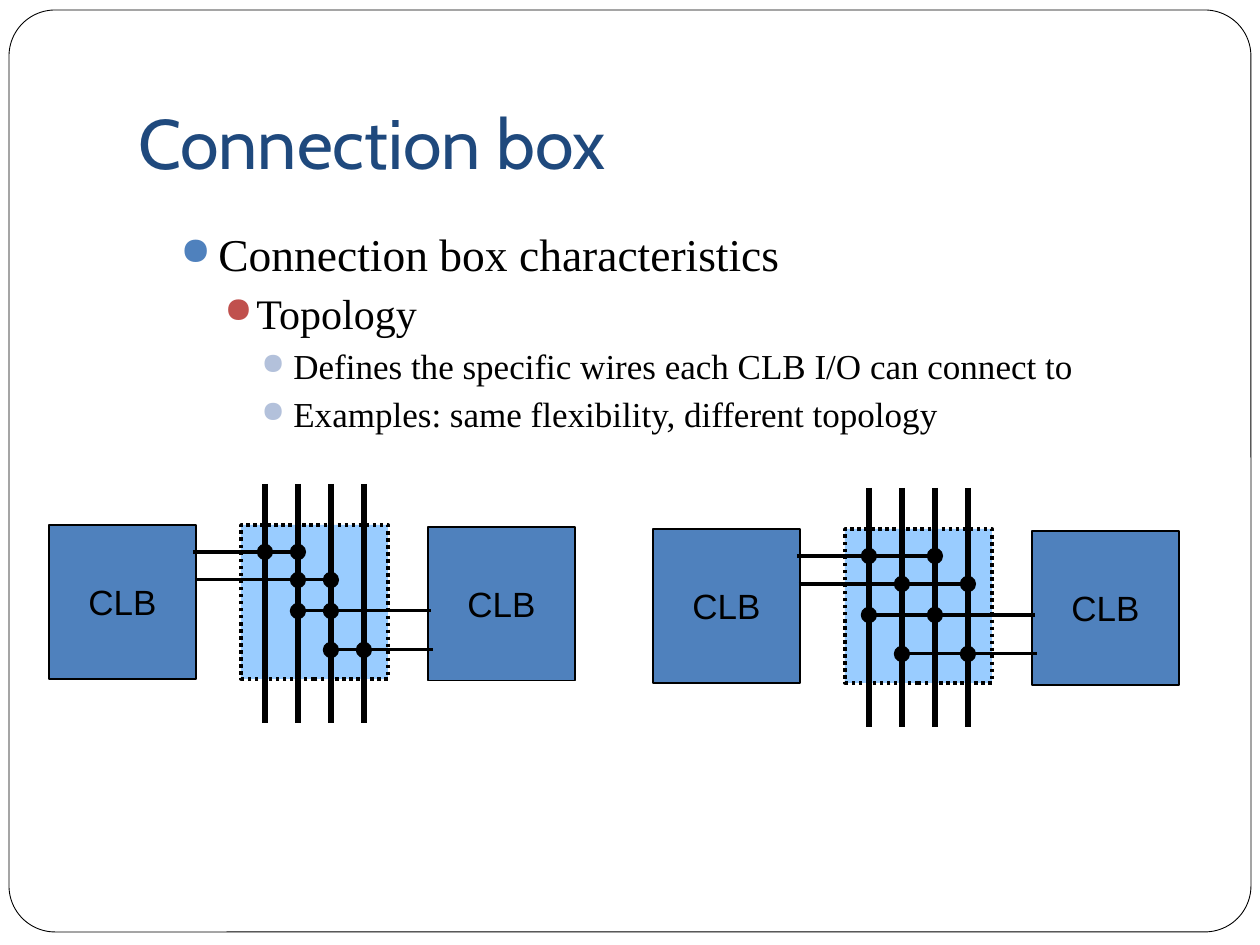
from lxml import etree
from pptx import Presentation
from pptx import util as u
from pptx.dml.color import RGBColor
from pptx.enum import dml, shapes, text
from pptx.oxml.ns import qn

PX = 914400 // 126
BLACK, WHITE, BLUE, PALE, NAVY = "000000", "FFFFFF", "4F81BD", "99CCFF", "1F497D"

TITLE = "Connection box"
BULLETS = [  # level, text
    (0, "Connection box characteristics"),
    (1, "Topology"),
    (2, "Defines the specific wires each CLB I/O can connect to"),
    (2, "Examples: same flexibility, different topology"),
]
LEVELS = [  # size, left margin px, hanging px, space before, bullet colour
    (26, 38, 38, 5.8, BLUE),
    (24, 76, 32, 3.7, "C0504D"),
    (20, 113, 32, 3.7, "B3C1DB"),
]

# Each diagram: origin in px, then the two wires joined by each pin
DIAGRAMS = [
    ((49, 525), [(0, 1), (1, 2), (1, 2), (2, 3)]),
    ((653, 529), [(0, 2), (1, 3), (0, 2), (1, 3)]),
]
PINS = [(144, 27), (146, 55), (382, 86), (384, 125)]  # start on the CLB edge
BLOCK = (147, 154)
SWITCH_X, RIGHT_X, RIGHT_Y = 192, 379, 2
WIRE_X, WIRE_GAP, WIRE_TOP, WIRE_BOTTOM = 216, 33, -41, 198
DOT = 15


def px(*lengths):
    return [u.Emu(round(length * PX)) for length in lengths]


def color(value):
    return RGBColor.from_string(value)


def write(para, words, *, size, font, ink=BLACK):
    span = para.add_run()
    span.text = words
    span.font.size, span.font.name = u.Pt(size), font
    span.font.color.rgb = color(ink)


def add_bullet(para, hue, margin, hanging):
    props = para._p.get_or_add_pPr()
    left, indent = px(margin, -hanging)
    props.set("marL", str(left))
    props.set("indent", str(indent))
    bullet_color = etree.SubElement(props, qn("a:buClr"))
    etree.SubElement(bullet_color, qn("a:srgbClr"), val=hue)
    etree.SubElement(props, qn("a:buSzPct"), val="85000")
    etree.SubElement(props, qn("a:buChar"), char="●")


def add_text_box(page, *area, anchor=text.MSO_ANCHOR.TOP, bottom=6):
    frame = page.shapes.add_textbox(*px(*area)).text_frame
    frame.word_wrap, frame.vertical_anchor = True, anchor
    frame.margin_bottom = px(bottom)[0]
    return frame


def add_shape(page, kind, *area, fill, width=0.75, dash=None):
    shape = page.shapes.add_shape(kind, *px(*area))
    shape.shadow.inherit = False
    shape.fill.solid()
    shape.fill.fore_color.rgb = color(fill)
    shape.line.color.rgb = color(BLACK)
    shape.line.width = u.Pt(width)
    if dash:
        shape.line.dash_style = dash
    return shape


def add_line(page, *ends, width):
    line = page.shapes.add_connector(shapes.MSO_CONNECTOR.STRAIGHT, *px(*ends))
    line.line.color.rgb = color(BLACK)
    line.line.width = u.Pt(width)
    etree.SubElement(line._element.spPr, qn("a:effectLst"))


def add_clb(page, x, y):
    block = add_shape(page, shapes.MSO_SHAPE.RECTANGLE, x, y, *BLOCK, fill=BLUE)
    frame = block.text_frame
    frame.word_wrap, frame.vertical_anchor = False, text.MSO_ANCHOR.MIDDLE
    para = frame.paragraphs[0]
    para.alignment = text.PP_ALIGN.CENTER
    write(para, "CLB", size=20, font="Arial")


def add_diagram(page, x, y, joins):
    add_clb(page, x, y)
    add_clb(page, x + RIGHT_X, y + RIGHT_Y)
    add_shape(page, shapes.MSO_SHAPE.RECTANGLE, x + SWITCH_X, y, *BLOCK,
              fill=PALE, width=2, dash=dml.MSO_LINE.ROUND_DOT)
    wires = [x + WIRE_X + WIRE_GAP * i for i in range(4)]
    for wire in wires:
        add_line(page, wire, y + WIRE_TOP, wire, y + WIRE_BOTTOM, width=3.25)
    for (pin_x, pin_y), join in zip(PINS, joins):
        row = y + pin_y
        far = join[1] if pin_x < WIRE_X else join[0]
        add_line(page, *sorted((x + pin_x, wires[far]))[:1], row,
                 max(x + pin_x, wires[far]), row, width=1.75)
        for i in join:
            add_shape(page, shapes.MSO_SHAPE.OVAL, wires[i] - DOT / 2,
                      row - DOT / 2, DOT, DOT, fill=BLACK)


def main():
    deck = Presentation()
    deck.slide_width, deck.slide_height = px(1260, 945)
    page = deck.slides.add_slide(deck.slide_layouts[6])

    border = add_shape(page, shapes.MSO_SHAPE.ROUNDED_RECTANGLE,
                       9, 10, 1242, 922, fill=WHITE, width=0.5)
    border.adjustments[0] = 0.05

    body = add_text_box(page, 168, 220, 1008, 237)
    for i, (level, words) in enumerate(BULLETS):
        size, margin, hanging, before, hue = LEVELS[level]
        para = body.add_paragraph() if i else body.paragraphs[0]
        para.level = level
        para.space_before = u.Pt(before if i else 0)
        add_bullet(para, hue, margin, hanging)
        write(para, words, size=size, font="Times New Roman")

    for origin, joins in DIAGRAMS:
        add_diagram(page, *origin, joins)

    title = add_text_box(page, 126, 38, 1071, 157,
                         anchor=text.MSO_ANCHOR.BOTTOM, bottom=12)
    write(title.paragraphs[0], TITLE, size=40, font="Cabin", ink=NAVY)
    deck.save("out.pptx")


if __name__ == "__main__":
    main()
